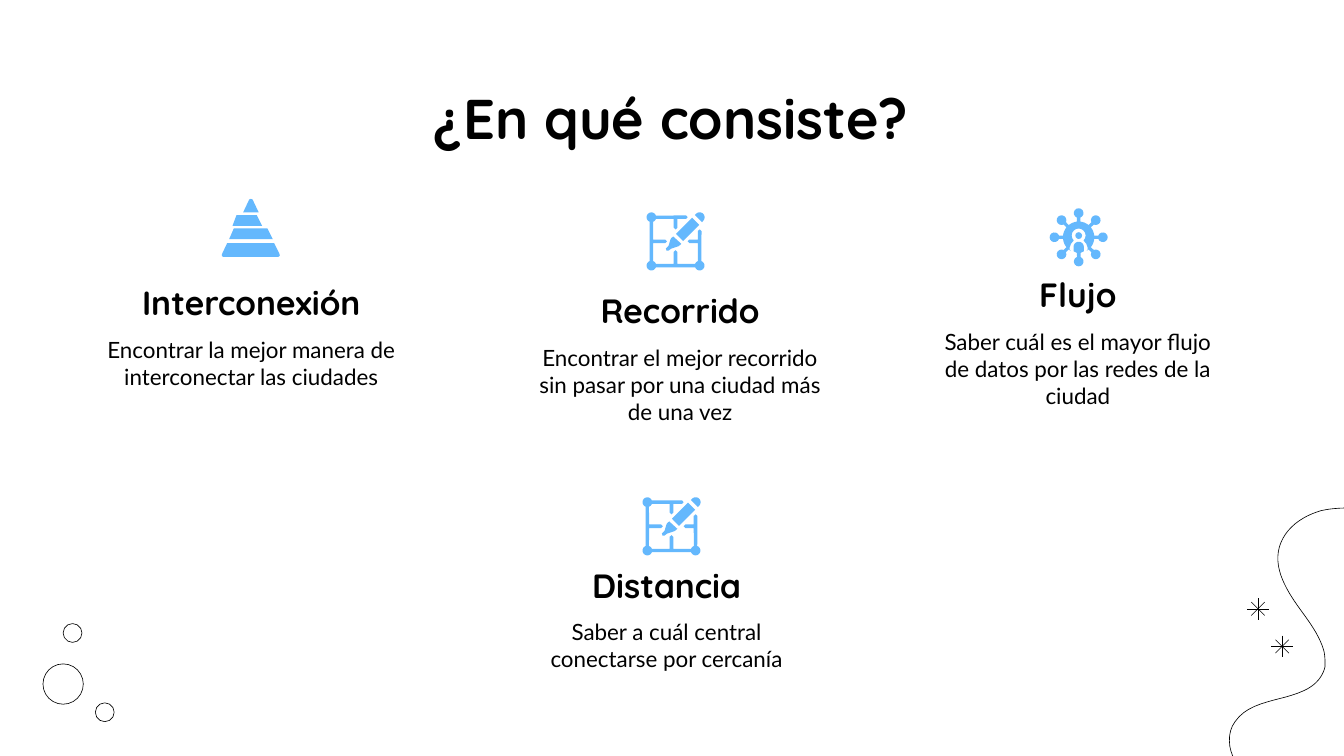
from math import cos, radians, sin

from lxml import etree
from pptx import Presentation
from pptx.dml.color import RGBColor
from pptx.enum.shapes import MSO_CONNECTOR, MSO_SHAPE
from pptx.enum.text import MSO_ANCHOR, PP_ALIGN
from pptx.oxml.ns import qn
from pptx.util import Inches, Pt

CENTER = PP_ALIGN.CENTER
TOP, BOTTOM = MSO_ANCHOR.TOP, MSO_ANCHOR.BOTTOM
OVAL, STRAIGHT = MSO_SHAPE.OVAL, MSO_CONNECTOR.STRAIGHT


def rgb(value):
    return RGBColor.from_string(value)


def arc(cx, cy, radius, start, end, steps=12):
    angles = [radians(start + (end - start) * i / steps) for i in range(steps + 1)]
    return [(cx + radius * cos(a), cy + radius * sin(a)) for a in angles]


def smooth_curve(start, segments, steps=12):
    points = [start]
    for x1, y1, x2, y2, x3, y3 in segments:
        x0, y0 = points[-1]
        for i in range(1, steps + 1):
            t = i / steps
            weights = (1 - t) ** 3, 3 * t * (1 - t) ** 2, 3 * t * t * (1 - t), t ** 3
            points.append((
                sum(w * x for w, x in zip(weights, (x0, x1, x2, x3))),
                sum(w * y for w, y in zip(weights, (y0, y1, y2, y3))),
            ))
    return points


class Deck:
    heading_font, body_font = "Quicksand", "Lato"
    ink, accent, paper = "000000", "64B8FD", "FFFFFF"

    def __init__(self, width, height):
        self.prs = Presentation()
        self.prs.slide_width, self.prs.slide_height = Inches(width), Inches(height)
        self.s = self.prs.slides.add_slide(self.prs.slide_layouts[6])
        fill = self.s.background.fill
        fill.solid()
        fill.fore_color.rgb = rgb(self.paper)

    def text(self, content, x, y, w, h, size, font, bold=False, anchor=TOP):
        tf = self.s.shapes.add_textbox(Inches(x), Inches(y), Inches(w), Inches(h)).text_frame
        tf.word_wrap = True
        tf.vertical_anchor = anchor
        tf.margin_left = tf.margin_right = tf.margin_top = tf.margin_bottom = Inches(0.1)
        p = tf.paragraphs[0]
        p.text = content
        p.alignment = CENTER
        p.font.name, p.font.size, p.font.bold = font, Pt(size), bold
        p.font.color.rgb = rgb(self.ink)

    def title(self, content, x, y, w, h):
        self.text(content, x, y, w, h, 30, self.heading_font, True)

    def heading(self, content, x, y, w):
        self.text(content, x, y, w, 0.46, 18, self.heading_font, True, BOTTOM)

    def body(self, content, x, y, h):
        self.text(content, x, y, 2.38, h, 12, self.body_font)

    def outlined(self, sp):
        sp.shadow.inherit = False
        sp.fill.background()
        sp.line.color.rgb = rgb(self.ink)
        sp.line.width = Pt(0.34)

    def filled(self, sp):
        sp.shadow.inherit = False
        sp.fill.solid()
        sp.fill.fore_color.rgb = rgb(self.accent)
        sp.line.fill.background()

    def oval(self, x, y, size):
        return self.s.shapes.add_shape(OVAL, Inches(x), Inches(y), Inches(size), Inches(size))

    def freeform(self, points, close, x=0, y=0, unit=1):
        points = [(Inches(x + px * unit), Inches(y + py * unit)) for px, py in points]
        builder = self.s.shapes.build_freeform(*points[0])
        builder.add_line_segments(points[1:], close=close)
        return builder.convert_to_shape()

    def line(self, x1, y1, x2, y2):
        c = self.s.shapes.add_connector(STRAIGHT, Inches(x1), Inches(y1), Inches(x2), Inches(y2))
        c.line.color.rgb = rgb(self.ink)
        c.line.width = Pt(0.25)
        etree.SubElement(c._element.spPr, qn("a:effectLst"))

    def star(self, cx, cy):
        for dx, dy in ((0, 0.08), (0.08, 0), (-0.05, 0.05), (0.05, 0.05)):
            self.line(cx - dx, cy - dy, cx + dx, cy + dy)

    def icon(self, parts, x, y):
        for points in parts:
            self.filled(self.freeform(points, True, x, y, 0.01))


def pyramid():
    return [
        [(11, 12), (8, 20), (30, 20), (26, 12)],
        [(9, 22), (5.5, 30), (38, 30), (34, 22)],
        [(4, 33), (0.2, 41), (0, 42.4), (1, 43.2), (42, 43.2), (43.2, 42.4), (43, 41), (39, 33)],
        [(21.7, 0), (20.5, 0.5), (16, 10), (27.5, 10), (23, 0.5)],
    ]


def blueprint():
    frame = [
        *arc(3.7, 3.7, 3.6, -20, -250),
        *arc(3.7, 39.7, 3.6, -110, -340),
        *arc(39.6, 39.7, 3.6, 160, -70),
        (41, 14), (39.6, 12.8), (38.2, 14), (38.2, 20.3), (32, 20.3), (30.7, 21.6),
        (32, 23), (38.2, 23),
        *arc(39.6, 39.7, 3.6, -110, -160, 4),
        (23, 38.4), (23, 29.5), (21.7, 28.2), (20.3, 29.5), (20.3, 38.4),
        *arc(3.7, 39.7, 3.6, -20, -70, 4),
        (5, 23), (14, 23), (15.3, 21.6), (14, 20.3), (5, 20.3),
        *arc(3.7, 3.7, 3.6, 70, 20, 4),
        (20.3, 5), (20.3, 11.5), (21.7, 12.8), (23, 11.5), (23, 5), (29.5, 5),
        (30.7, 3.7), (29.5, 2.4),
    ]
    tip = [(20, 18), (18.7, 19), (18, 20), (16.5, 25), (14.5, 27), (15, 28.6),
           (16.5, 28.5), (18.5, 27), (24, 25.2), (26, 23.5)]
    cap = [(36, 2), (41.3, 7.3), *arc(39.6, 3.7, 3.7, 45, -135)]
    shaft = [(34, 4), (22, 16), (27.3, 21.3), (39.3, 9.3)]
    return [frame, tip, cap, shaft]


def network():
    cx = cy = 21.6
    ring = arc(cx, cy, 11.7, 120, 129, 2)
    for angle in range(135, 406, 45):
        a = radians(angle)
        ring += arc(cx + 18 * cos(a), cy + 18 * sin(a), 3.6, angle + 200, angle + 520)
        ring += arc(cx, cy, 11.7, angle + 6, angle + (15 if angle == 405 else 39), 4)
    ring += [(28.2, 31), (28.2, 29), (27.3, 26.5), *arc(cx, 20.3, 5.2, 45, -225),
             (15.9, 26.5), (15, 29), (15, 31)]
    person = [*arc(cx, 28.7, 3.8, 180, 360), (25.4, 32), (23, 33.2), (23, 36),
              *arc(cx, 39.6, 3.6, -70, 250), (20.2, 33.2), (17.8, 32)]
    return [person, arc(cx, 20.3, 2.5, 0, 360), ring]


def main():
    deck = Deck(10, 10 * 9 / 16)
    for x, y, size in ((0.71, 5.23, 0.14), (0.32, 4.94, 0.3), (0.47, 4.64, 0.14)):
        deck.outlined(deck.oval(x, y, size))
    wave = smooth_curve((9.31, 5.76), [
        (9.16, 5.71, 9.1, 5.49, 9.19, 5.37),
        (9.3, 5.21, 9.53, 5.22, 9.7, 5.14),
        (9.77, 5.11, 9.84, 5.05, 9.86, 4.96),
        (9.86, 4.92, 9.86, 4.88, 9.85, 4.84),
        (9.81, 4.7, 9.71, 4.59, 9.63, 4.47),
        (9.55, 4.35, 9.48, 4.21, 9.52, 4.07),
        (9.56, 3.93, 9.69, 3.84, 9.83, 3.8),
        (9.96, 3.77, 10.1, 3.78, 10.24, 3.79),
    ])
    deck.outlined(deck.freeform(wave, False))
    deck.star(9.54, 4.81)
    deck.star(9.36, 4.53)

    deck.title("¿En qué consiste?", 0.78, 0.52, 8.43, 0.63)
    topics = [
        ("Interconexión", "Encontrar la mejor manera de interconectar las ciudades",
         1.87, 2.04, 2.84, 0.93, pyramid(), 1.65, 1.48),
        ("Recorrido", "Encontrar el mejor recorrido sin pasar por una ciudad más de una vez",
         5.06, 2.1, 2.38, 0.74, blueprint(), 4.81, 1.58),
        ("Flujo", "Saber cuál es el mayor flujo de datos por las redes de la ciudad",
         8.02, 1.98, 2.38, 0.74, network(), 7.81, 1.55),
        ("Distancia", "Saber a cuál central conectarse por cercanía",
         4.96, 4.14, 2.38, 0.74, blueprint(), 4.78, 3.7),
    ]
    for name, detail, cx, y, w, h, parts, icon_x, icon_y in topics:
        deck.heading(name, cx - w / 2, y, w)
        deck.body(detail, cx - 1.19, y + 0.36, h)
        deck.icon(parts, icon_x, icon_y)
    deck.prs.save("out.pptx")


if __name__ == "__main__":
    main()
